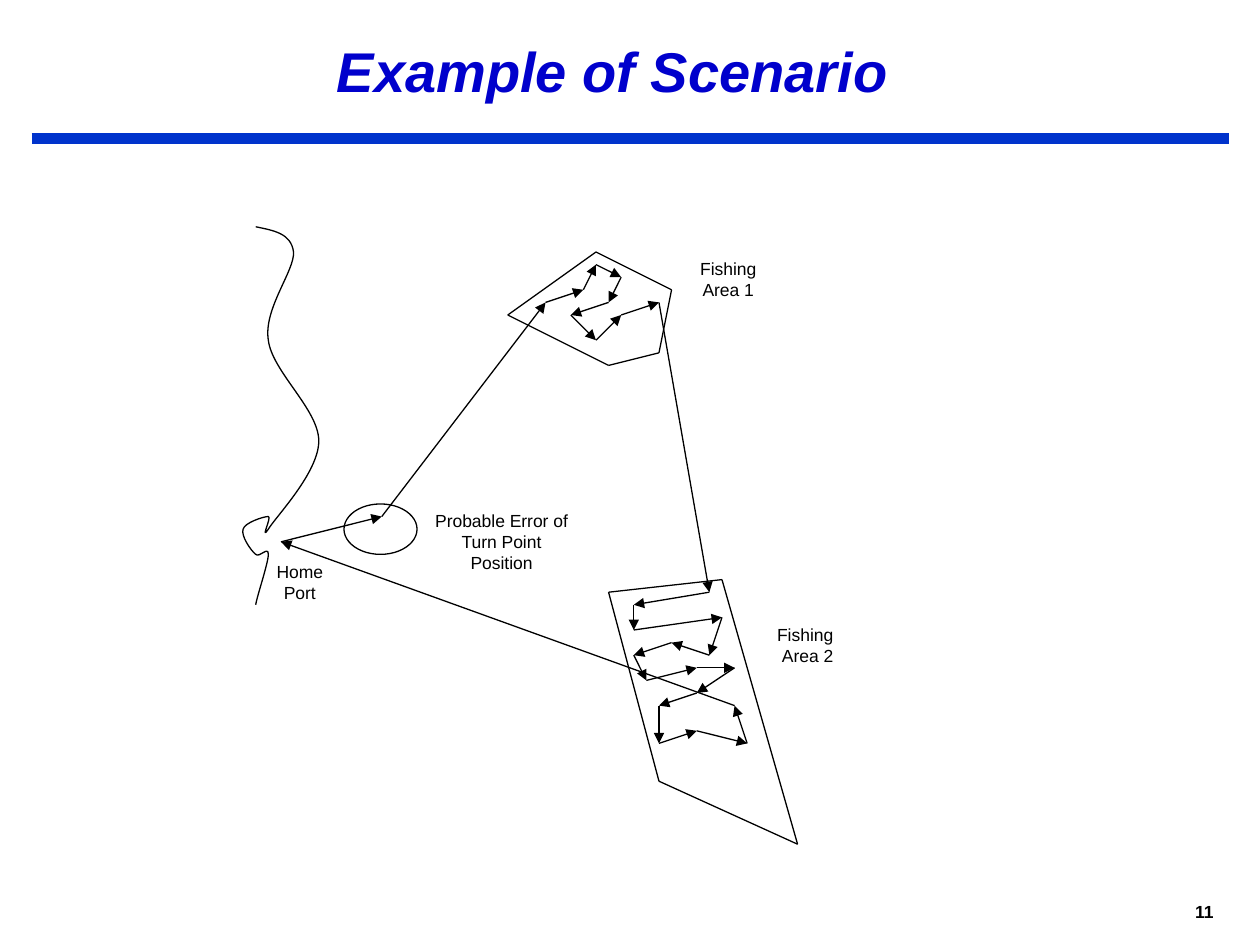
from itertools import chain, pairwise

from lxml import etree
from pptx import Presentation
from pptx.dml.color import RGBColor
from pptx.enum import shapes, text
from pptx.oxml import ns
from pptx.util import Inches, Pt

BLACK = RGBColor(0x00, 0x00, 0x00)
TITLE_BLUE = RGBColor(0x00, 0x00, 0xCC)
RULE_BLUE = RGBColor(0x00, 0x33, 0xCC)
CENTER = text.PP_ALIGN.CENTER
RIGHT = text.PP_ALIGN.RIGHT

HOME_PORT = (2.23, 4.3)
AREA_1 = [(4.03, 2.5), (4.73, 2), (5.33, 2.3), (5.23, 2.8), (4.83, 2.9)]
AREA_2 = [(5.73, 4.6), (4.83, 4.7), (5.23, 6.2), (6.33, 6.7)]
ROUTE = [
    HOME_PORT, (3.03, 4.1),
    # tracks in area 1
    (4.33, 2.4), (4.63, 2.3), (4.73, 2.1), (4.93, 2.2), (4.83, 2.4),
    (4.53, 2.5), (4.73, 2.7), (4.93, 2.5), (5.23, 2.4),
    # tracks in area 2
    (5.63, 4.7), (5.03, 4.8), (5.03, 5), (5.73, 4.9), (5.63, 5.2),
    (5.33, 5.1), (5.03, 5.2), (5.13, 5.4), (5.53, 5.3), (5.83, 5.3),
    (5.53, 5.5), (5.23, 5.6), (5.23, 5.9), (5.53, 5.8), (5.93, 5.9),
    (5.83, 5.6),
]
COAST_START = (2.03, 1.8)
COAST_CURVES = [  # two control points and an end point each
    [(2.17, 1.83), (2.31, 1.85), (2.33, 2)],
    [(2.34, 2.15), (2.09, 2.45), (2.13, 2.7)],
    [(2.16, 2.95), (2.53, 3.25), (2.53, 3.5)],
    [(2.53, 3.75), (2.19, 4.1), (2.13, 4.2)],
    [(2.06, 4.3), (2.16, 4.1), (2.13, 4.1)],
    [(2.09, 4.1), (1.94, 4.15), (1.93, 4.2)],
    [(1.91, 4.25), (1.99, 4.37), (2.03, 4.4)],
    [(2.06, 4.43), (2.13, 4.33), (2.13, 4.4)],
    [(2.13, 4.47), (2.04, 4.73), (2.03, 4.8)],
]
LABELS = [
    ((2.03, 4.4, 0.7, 0.5), ["Home Port"]),
    ((5.33, 2, 0.9, 0.5), ["Fishing Area 1"]),
    ((5.91, 4.9, 1, 0.5), ["Fishing ", "Area 2"]),
    ((3.32, 4, 1.32, 0.4), ["Probable Error of Turn Point Position"]),
]


class Sketch:
    font = "Arial"
    width = 0.75

    def __init__(self, page):
        self.page = page

    def line(self, start, end, color=BLACK, width=width, arrow=False):
        connector = self.page.shapes.add_connector(
            shapes.MSO_CONNECTOR.STRAIGHT, *map(Inches, (*start, *end)))
        connector.line.color.rgb = color
        connector.line.width = Pt(width)
        if arrow:
            outline = connector.line._get_or_add_ln()
            etree.SubElement(outline, ns.qn("a:tailEnd"), type="triangle")
        etree.SubElement(connector._element.spPr, ns.qn("a:effectLst"))

    def loop(self, points, arrow=False):
        """Join the points by lines and return to the first."""
        for start, end in pairwise([*points, points[0]]):
            self.line(start, end, arrow=arrow)

    def outline(self, shape):
        shape.shadow.inherit = False
        shape.fill.background()
        shape.line.color.rgb = BLACK
        shape.line.width = Pt(self.width)

    def curve(self, start, curves):
        """Draw cubic curves: each three straight segments become one curve."""
        builder = self.page.shapes.build_freeform(*map(Inches, start))
        builder.add_line_segments(
            [(Inches(x), Inches(y)) for x, y in chain(*curves)], close=False)
        shape = builder.convert_to_shape()
        segments = list(shape._element.iter(ns.qn("a:lnTo")))
        for first, second, end in zip(*[iter(segments)] * 3):
            first.tag = ns.qn("a:cubicBezTo")
            for segment in (second, end):
                first.append(segment[0])
                segment.getparent().remove(segment)
        self.outline(shape)

    def ellipse(self, place):
        self.outline(self.page.shapes.add_shape(
            shapes.MSO_SHAPE.OVAL, *map(Inches, place)))

    def text(self, place, lines, size=10, color=BLACK, align=CENTER,
             bold=False, italic=False, anchor=text.MSO_ANCHOR.TOP):
        box = self.page.shapes.add_textbox(*map(Inches, place))
        frame = box.text_frame
        frame.word_wrap = True
        frame.vertical_anchor = anchor
        for index, words in enumerate(lines):
            para = frame.add_paragraph() if index else frame.paragraphs[0]
            para.alignment = align
            span = para.add_run()
            span.text = words
            span.font.name = self.font
            span.font.size = Pt(size)
            span.font.bold = bold
            span.font.italic = italic
            span.font.color.rgb = color


def main():
    deck = Presentation()
    deck.slide_width, deck.slide_height = Inches(10), Inches(7.5)
    sketch = Sketch(deck.slides.add_slide(deck.slide_layouts[6]))

    sketch.line((0.25, 1.1), (9.75, 1.1), RULE_BLUE, 6)
    sketch.text((7.4, 7.1, 2.33, 0.27), ["11"], align=RIGHT, bold=True)
    sketch.text((0.96, 0, 7.93, 1.12), ["Example of Scenario "], 32, TITLE_BLUE,
                bold=True, italic=True, anchor=text.MSO_ANCHOR.MIDDLE)

    sketch.curve(COAST_START, COAST_CURVES)
    sketch.loop(AREA_1)
    sketch.loop(AREA_2)
    sketch.loop(ROUTE, arrow=True)
    sketch.ellipse((2.73, 4, 0.58, 0.4))
    for place, lines in LABELS:
        sketch.text(place, lines)

    deck.save("out.pptx")


if __name__ == "__main__":
    main()
